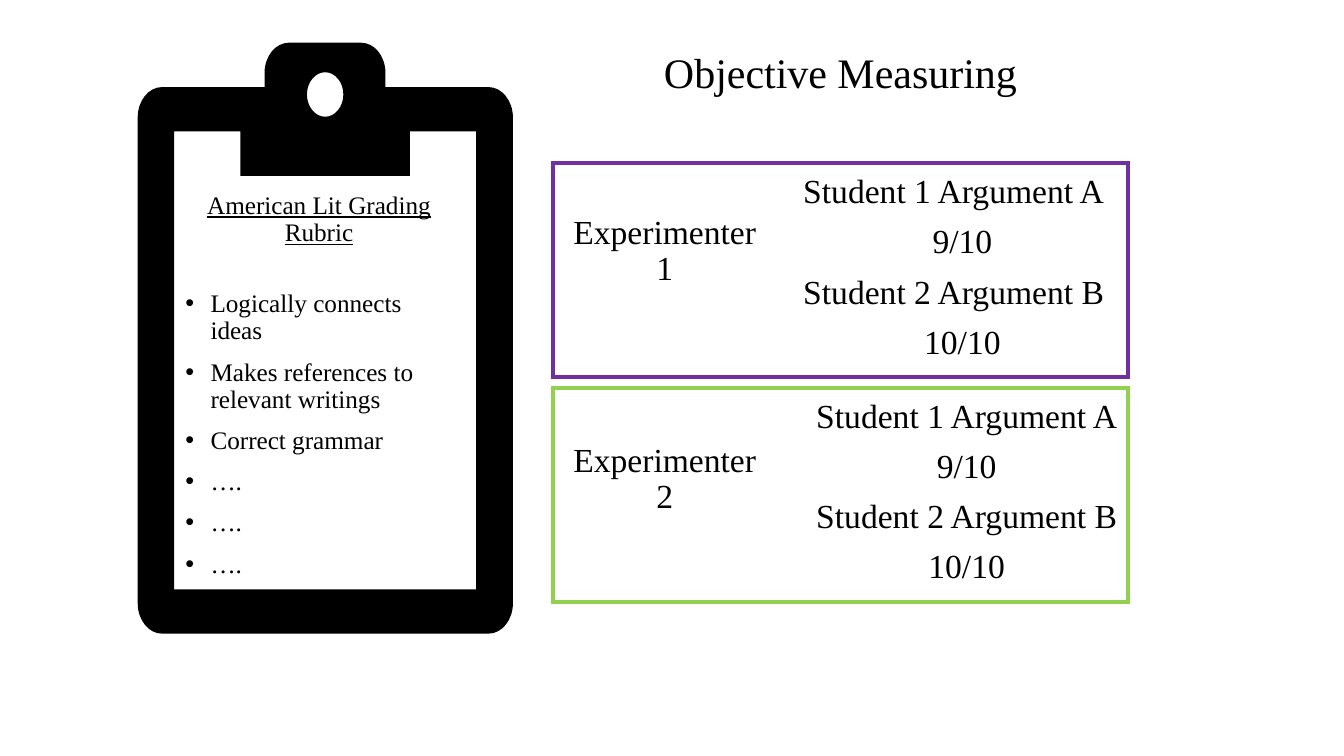
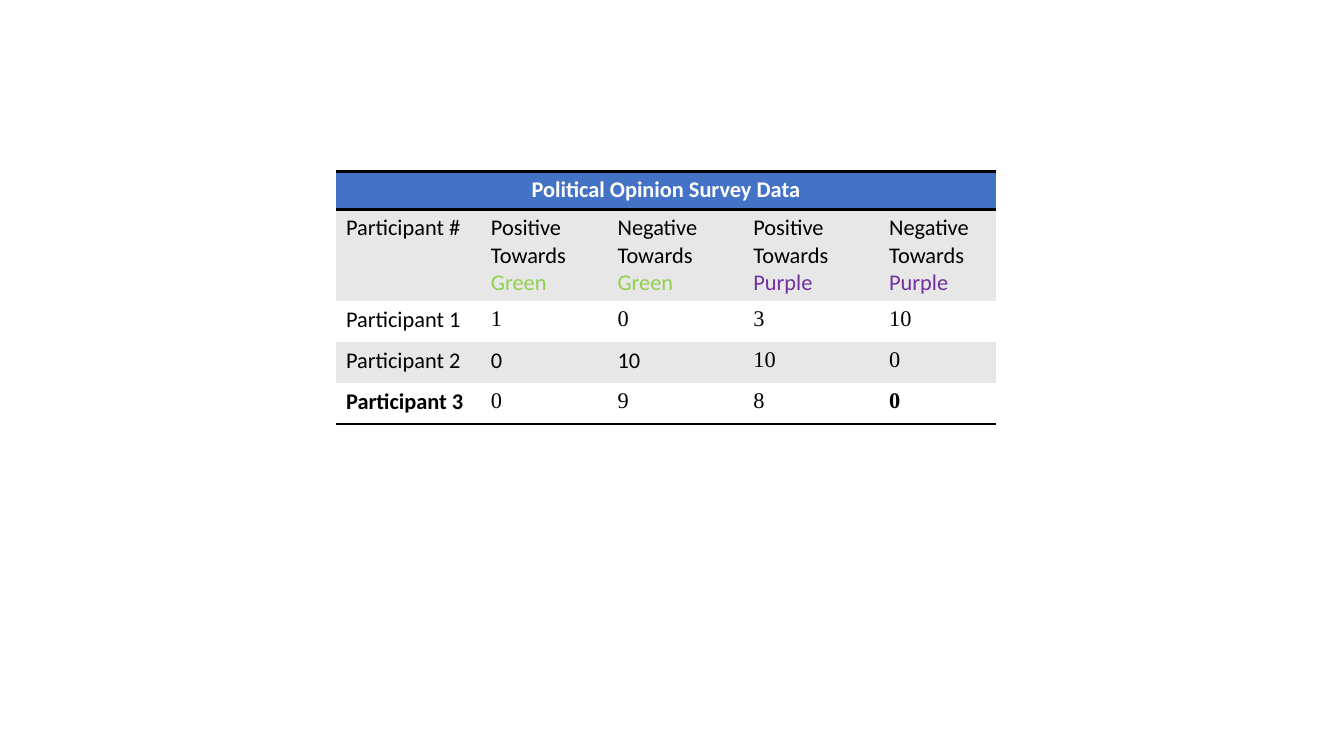
from lxml import etree
from pptx import Presentation
from pptx.dml.color import RGBColor
from pptx.enum import shapes, text
from pptx.oxml import ns
from pptx.util import Pt

SERIF, SANS = "Times New Roman", "Calibri"
COLOURS = {
    "black": "000000", "white": "FFFFFF", "purple": "7030A0",
    "green": "92D050", "header": "4472C4", "band": "E7E7E7",
}
CENTRE = text.PP_ALIGN.CENTER

HEADING = "Objective Measuring"
RUBRIC_TITLE = "American Lit Grading Rubric"
CRITERIA = ["Logically connects ideas", "Makes references to relevant writings",
            "Correct grammar", "….", "….", "…."]
SCORES = [("Student 1 Argument A", "9/10"), ("Student 2 Argument B", "10/10")]
PANELS = [
    {"name": "Experimenter 1", "colour": "purple", "top": 116.6,
     "name_top": 150.5, "scores_at": (530.2, 121.2), "score_indent": 12.5},
    {"name": "Experimenter 2", "colour": "green", "top": 277.2,
     "name_top": 313.2, "scores_at": (539.5, 281.5), "score_indent": 0},
]
PANEL_LEFT, PANEL_WIDTH, PANEL_HEIGHT = 395.3, 410.4, 152.6

BOARD = (98.4, 62.2, 366.4, 452.6)
CLIP = (189, 30.5, 275.4)
PAPER = (124.4, 93.8, 340.2, 421)
JAW = (171.8, 292.8, 125.6)
HOLE = (219.3, 51.6, 245.3, 83.4)
CORNER = (17.4, 21.6)
ROUNDNESS = 0.55

SURVEY_TITLE = "Political Opinion Survey Data"
OPINIONS = [("Positive Towards ", "Green"), ("Negative Towards ", "Green"),
            ("Positive Towards ", "Purple"), ("Negative Towards ", "Purple")]
ANSWERS = [("Participant 1", [1, 0, 3, 10]),
           ("Participant 2", [0, 10, 10, 0]),
           ("Participant 3", [0, 9, 8, 0])]
SANS_ANSWERS = {(3, 1), (3, 2)}
BOLD_CELLS = {(4, 0), (4, 4)}
COLUMN_WIDTHS = [103.5, 90.5, 97, 97, 83.5]
ROW_HEIGHTS = [27, 65.5, 29.3, 29.3, 29.3]
TABLE_AT = (240, 122.5)
NO_STYLE = "{2D5ABB26-0587-4C30-8999-92F81FD0307C}"


def rgb(name):
    return RGBColor.from_string(COLOURS[name])


def set_all(target, values):
    for name, value in values.items():
        setattr(target, name, value)


def add_span(para, words, colour="black", **font):
    span = para.add_run()
    span.text = words
    set_all(span.font, font)
    span.font.color.rgb = rgb(colour)


def indent(para, left, first=0):
    props = para._p.get_or_add_pPr()
    props.set("marL", str(Pt(left)))
    props.set("indent", str(Pt(first)))
    return props


def add_text(page, area, lines, size):
    box = page.shapes.add_textbox(*map(Pt, area))
    frame = box.text_frame
    frame.word_wrap = True
    paras = []
    for number, words in enumerate(lines):
        para = frame.add_paragraph() if number else frame.paragraphs[0]
        set_all(para, {"alignment": CENTRE, "line_spacing": 0.9,
                       "space_before": Pt(10)})
        add_span(para, words, name=SERIF, size=Pt(size))
        paras.append(para)
    return paras


def bend(start, tip, end):
    pulls = [tuple(p + ROUNDNESS * (t - p) for p, t in zip(point, tip))
             for point in (start, end)]
    return [[start], [*pulls, end]]


def corner(x, y, across, down, radii=CORNER):
    beside, below = (x + across * radii[0], y), (x, y + down * radii[1])
    ends = (below, beside) if across == down else (beside, below)
    return bend(ends[0], (x, y), ends[1])


def clipboard_contours():
    left, top, right, bottom = BOARD
    clip_left, clip_top, clip_right = CLIP
    outline = (corner(left, top, 1, 1) + [[(clip_left, top)]]
               + corner(clip_left, clip_top, 1, 1)
               + corner(clip_right, clip_top, -1, 1) + [[(clip_right, top)]]
               + corner(right, top, -1, 1) + corner(right, bottom, -1, -1)
               + corner(left, bottom, 1, -1))
    x1, y1, x2, y2 = PAPER
    jaw_left, jaw_right, jaw_bottom = JAW
    paper = [[point] for point in (
        (x1, y1), (x1, y2), (x2, y2), (x2, y1), (jaw_right, y1),
        (jaw_right, jaw_bottom), (jaw_left, jaw_bottom), (jaw_left, y1))]
    x1, y1, x2, y2 = HOLE
    radii = ((x2 - x1) / 2, (y2 - y1) / 2)
    quarters = [corner(x, y, across, down, radii) for x, y, across, down in (
        (x1, y1, 1, 1), (x2, y1, -1, 1), (x2, y2, -1, -1), (x1, y2, 1, -1))]
    hole = quarters[0][:1] + [quarter[1] for quarter in quarters]
    return [outline, paper, hole]


def add_clipboard(page):
    contours = clipboard_contours()
    builder = page.shapes.build_freeform(*map(Pt, contours[0][0][0]))
    for number, contour in enumerate(contours):
        if number:
            builder.move_to(*map(Pt, contour[0][0]))
        builder.add_line_segments(
            [tuple(map(Pt, point)) for segment in contour[1:] for point in segment],
            close=True)
    board = builder.convert_to_shape()
    board.shadow.inherit = False
    board.fill.solid()
    board.fill.fore_color.rgb = rgb("black")
    board.line.fill.background()
    lines = iter(list(board._element.iter(ns.qn("a:lnTo"))))
    for segment in [part for contour in contours for part in contour[1:]]:
        steps = [next(lines) for _ in segment]
        if len(steps) == 3:
            curve = etree.Element(ns.qn("a:cubicBezTo"))
            steps[0].addprevious(curve)
            for step in steps:
                curve.append(step[0])
                step.getparent().remove(step)


def add_rubric(page):
    title, *items = add_text(page, (125.3, 134, 205.2, 244),
                             [RUBRIC_TITLE] + CRITERIA, 18)
    title.runs[0].font.underline = True
    title.space_after = Pt(21.3)
    for para in items:
        para.alignment = text.PP_ALIGN.LEFT
        props = indent(para, 18, -18)
        etree.SubElement(props, ns.qn("a:buFont")).set("typeface", "Arial")
        etree.SubElement(props, ns.qn("a:buChar")).set("char", "•")


def add_panel(page, panel):
    frame = page.shapes.add_shape(
        shapes.MSO_SHAPE.RECTANGLE, Pt(PANEL_LEFT), Pt(panel["top"]),
        Pt(PANEL_WIDTH), Pt(PANEL_HEIGHT))
    frame.shadow.inherit = False
    frame.fill.background()
    frame.line.color.rgb = rgb(panel["colour"])
    frame.line.width = Pt(3)
    outline = frame._element.spPr.find(ns.qn("a:ln"))
    etree.SubElement(outline, ns.qn("a:miter")).set("lim", "800000")
    add_text(page, (399.6, panel["name_top"], 150.5, 44.6), [panel["name"]], 24)
    lines = [line for pair in SCORES for line in pair]
    paras = add_text(page, (*panel["scores_at"], 302, 124), lines, 24)
    for para in paras[1::2]:
        indent(para, panel["score_indent"])


def add_border(cell, side):
    line = etree.SubElement(cell._tc.get_or_add_tcPr(), ns.qn("a:" + side))
    line.set("w", str(Pt(2)))
    fill = etree.SubElement(line, ns.qn("a:solidFill"))
    etree.SubElement(fill, ns.qn("a:srgbClr")).set("val", COLOURS["black"])


def fill_cell(cell, colour, sides=()):
    for side in sides:
        add_border(cell, side)
    cell.fill.solid()
    cell.fill.fore_color.rgb = rgb(colour)


def add_survey(page):
    rows = [[[(SURVEY_TITLE, "white")]] + [[]] * len(OPINIONS),
            [[("Participant #", "black")]]
            + [[(lead, "black"), (party, party.lower())] for lead, party in OPINIONS]]
    rows += [[[(name, "black")]] + [[(str(value), "black")] for value in values]
             for name, values in ANSWERS]
    table = page.shapes.add_table(
        len(rows), len(COLUMN_WIDTHS), *map(Pt, TABLE_AT),
        Pt(sum(COLUMN_WIDTHS)), Pt(sum(ROW_HEIGHTS))).table
    set_all(table, {"first_row": False, "horz_banding": False})
    table._tbl.tblPr.find(ns.qn("a:tableStyleId")).text = NO_STYLE
    for column, width in zip(table.columns, COLUMN_WIDTHS):
        column.width = Pt(width)
    for row, height in zip(table.rows, ROW_HEIGHTS):
        row.height = Pt(height)
    table.cell(0, 0).merge(table.cell(0, len(COLUMN_WIDTHS) - 1))
    borders = {0: ("lnT", "lnB"), len(rows) - 1: ("lnB",)}
    for r, row in enumerate(rows):
        colour = "header" if r == 0 else "band" if r % 2 else "white"
        for c, spans in enumerate(row):
            cell = table.cell(r, c)
            fill_cell(cell, colour, borders.get(r, ()))
            para = cell.text_frame.paragraphs[0]
            if r == 0:
                para.alignment = CENTRE
            serif = r > 1 and c > 0 and (r, c) not in SANS_ANSWERS
            for words, tint in spans:
                add_span(para, words, tint, name=SERIF if serif else SANS,
                         size=Pt(16), bold=r == 0 or (r, c) in BOLD_CELLS)


def main():
    deck = Presentation()
    set_all(deck, {"slide_width": Pt(960), "slide_height": Pt(540)})
    measuring, survey = [deck.slides.add_slide(deck.slide_layouts[6]) for _ in range(2)]
    add_clipboard(measuring)
    add_rubric(measuring)
    for panel in PANELS:
        add_panel(measuring, panel)
    add_text(measuring, (PANEL_LEFT, 33.8, PANEL_WIDTH, 44.6), [HEADING], 30)
    add_survey(survey)
    deck.save("out.pptx")


if __name__ == "__main__":
    main()
